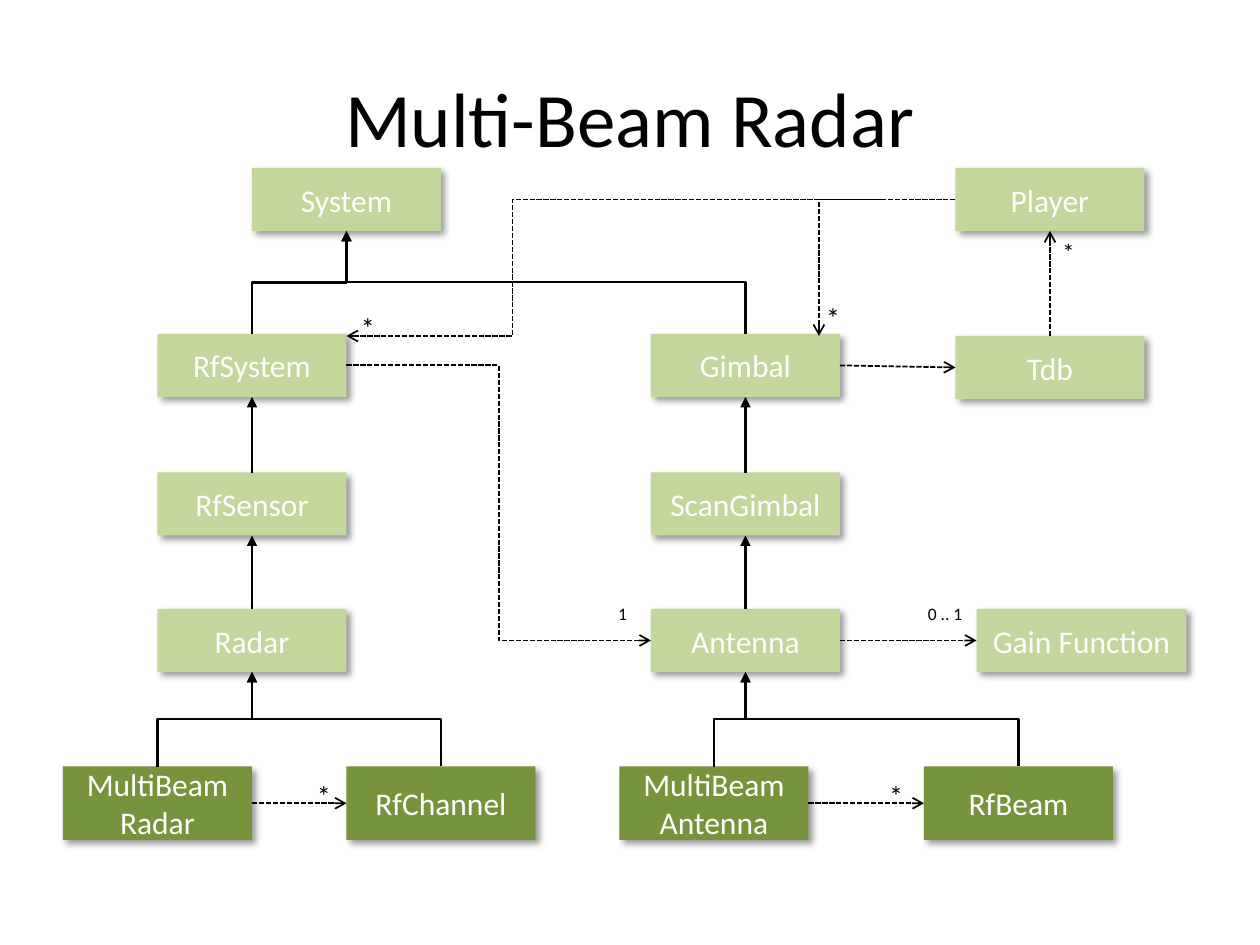
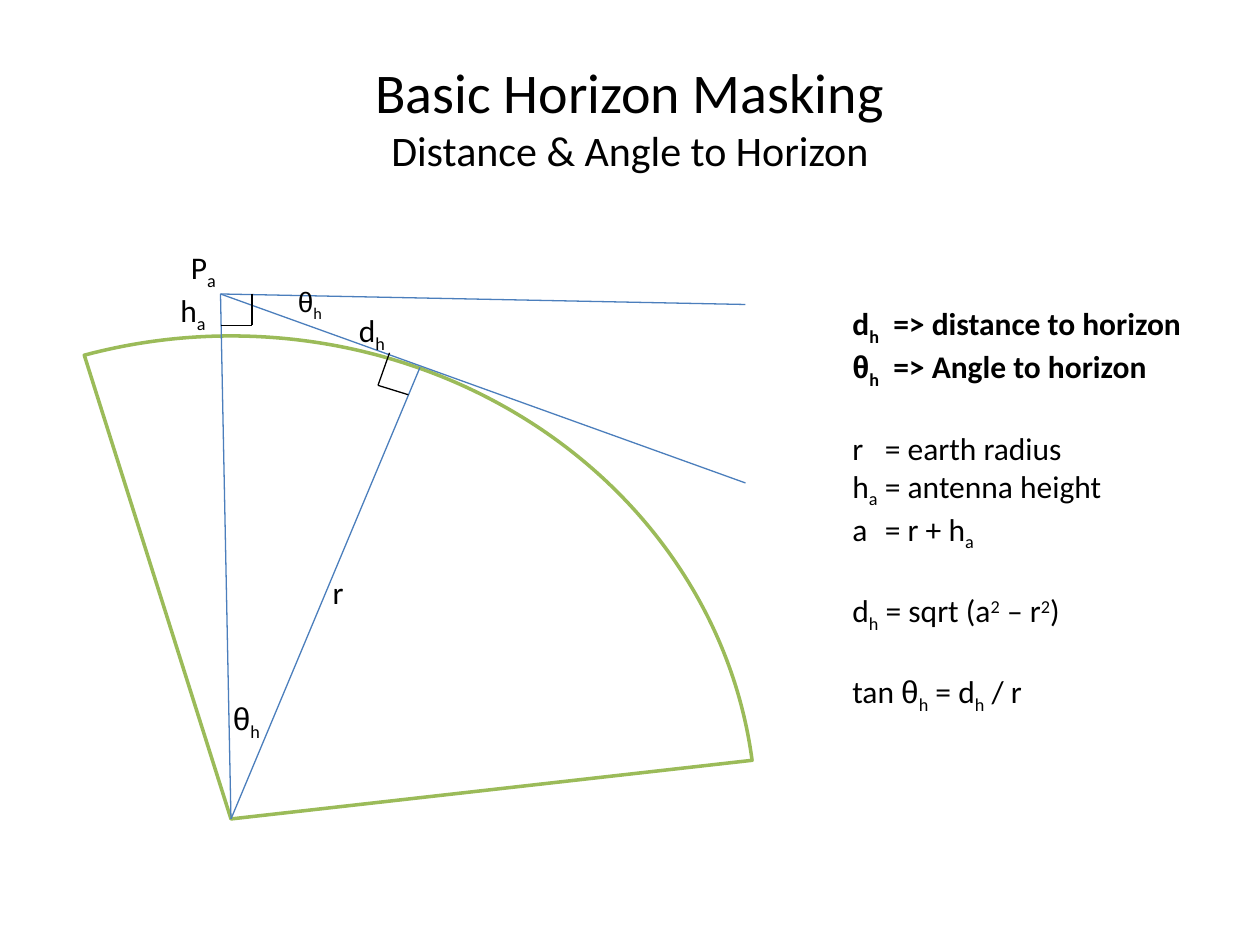
from dataclasses import dataclass
from itertools import pairwise

from lxml.etree import SubElement
from pptx import Presentation
from pptx.dml.color import RGBColor
from pptx.enum.dml import MSO_LINE
from pptx.enum.shapes import MSO_CONNECTOR as Route, MSO_SHAPE as Preset
from pptx.enum.text import MSO_ANCHOR as Anchor, MSO_AUTO_SIZE as AutoSize, PP_ALIGN as Align
from pptx.oxml.ns import qn
from pptx.util import Pt

PX = 7620  # EMU: 120 px to the inch

BLACK = RGBColor(0x00, 0x00, 0x00)
WHITE = RGBColor(0xFF, 0xFF, 0xFF)
PALE_GREEN = RGBColor(0xC3, 0xD6, 0x9B)
DARK_GREEN = RGBColor(0x77, 0x93, 0x3C)
EARTH_GREEN = RGBColor(0x9B, 0xBB, 0x59)
RAY_BLUE = RGBColor(0x4B, 0x7E, 0xBC)


@dataclass
class Box:
    x: int
    y: int
    w: int = 180
    h: int = 60

    @property
    def top(self):
        return self.x + self.w // 2, self.y

    @property
    def bottom(self):
        return self.x + self.w // 2, self.y + self.h

    @property
    def left(self):
        return self.x, self.y + self.h // 2

    @property
    def right(self):
        return self.x + self.w, self.y + self.h // 2


class Deck:
    """Holds the shared style and the slide being drawn."""

    font = "Calibri"
    greek_font = "Arial"

    def __init__(self):
        self.prs = Presentation()
        self.prs.slide_width, self.prs.slide_height = 1200 * PX, 900 * PX
        self.shapes = None

    def style(self, paragraph, size, color=BLACK, bold=None):
        font = paragraph.font
        font.name, font.size, font.bold = self.font, Pt(size), bold
        font.color.rgb = color

    def slide(self, title, size, subtitle=None, subtitle_size=24):
        self.shapes = self.prs.slides.add_slide(self.prs.slide_layouts[5]).shapes
        heading = self.shapes.title
        heading.left, heading.top, heading.width, heading.height = (
            v * PX for v in (60, 36, 1080, 150))
        heading.text_frame.vertical_anchor = Anchor.MIDDLE
        line = heading.text_frame.paragraphs[0]
        line.alignment = Align.CENTER
        self.style(line, size)
        line.add_run().text = title
        if subtitle:
            line.add_line_break()
            run = line.add_run()
            run.text, run.font.size = subtitle, Pt(subtitle_size)

    def preset(self, kind, x, y, w, h):
        shape = self.shapes.add_shape(kind, x * PX, y * PX, w * PX, h * PX)
        shape.shadow.inherit = False
        return shape

    def class_box(self, name, box, fill):
        shape = self.preset(Preset.RECTANGLE, box.x, box.y, box.w, box.h)
        shape.fill.solid()
        shape.fill.fore_color.rgb = fill
        shape.line.fill.background()
        effects = shape._element.spPr.find(qn("a:effectLst"))
        shadow = SubElement(effects, qn("a:outerShdw"), blurRad="50800", dist="38100",
                            dir="2700000", algn="tl", rotWithShape="0")
        tint = SubElement(shadow, qn("a:srgbClr"), val=str(BLACK))
        SubElement(tint, qn("a:alpha"), val="40000")
        frame = shape.text_frame
        frame.vertical_anchor = Anchor.MIDDLE
        frame.text = name
        for line in frame.paragraphs:
            line.alignment = Align.CENTER
            self.style(line, 18, WHITE)

    def line(self, start, end, color=BLACK, width=0.75, route=Route.STRAIGHT,
             head=None, dashed=False):
        link = self.shapes.add_connector(route, *(v * PX for v in (*start, *end)))
        link.line.color.rgb = color
        link.line.width = Pt(width)
        if dashed:
            link.line.dash_style = MSO_LINE.SQUARE_DOT
        if head:
            SubElement(link.line._get_or_add_ln(), qn("a:tailEnd"), type=head)
        SubElement(link._element.spPr, qn("a:effectLst"))
        return link

    def inherit(self, child, parent):
        """Solid arrow upwards; an elbow is laid flat, then turned by 270 degrees."""
        (x1, y1), (x2, y2) = child.top, parent.bottom
        arrow = dict(width=1.25, head="triangle")
        if x1 == x2:
            self.line(child.top, parent.bottom, **arrow)
            return
        mid_x, mid_y = (x1 + x2) // 2, (y1 + y2) // 2
        half_rise, half_run = (y1 - y2) // 2, (x2 - x1) // 2
        link = self.line((mid_x - half_rise, mid_y - half_run),
                         (mid_x + half_rise, mid_y + half_run),
                         route=Route.ELBOW, **arrow)
        link._element.spPr.find(qn("a:xfrm")).set("rot", str(270 * 60000))

    def associate(self, start, end, bend=None):
        """Dashed arrow; bend is the share of the run before the turn, 1 for one corner."""
        route = Route.STRAIGHT if bend is None else Route.ELBOW
        link = self.line(start, end, width=1, route=route, head="arrow", dashed=True)
        if bend is None:
            return
        geometry = link._element.spPr.find(qn("a:prstGeom"))
        if bend == 1:
            geometry.set("prst", "bentConnector2")
        else:
            guides = geometry.find(qn("a:avLst"))
            SubElement(guides, qn("a:gd"), name="adj1", fmla=f"val {round(bend * 100000)}")

    def rich_text(self, paragraph, text):
        """In text, _ lowers and ^ raises the next character."""
        pieces, mark = [], ""
        for char in text:
            if char in "_^":
                mark = char
                continue
            kind = mark or ("θ" if char == "θ" else "")
            if pieces and pieces[-1][0] == kind:
                pieces[-1][1] += char
            else:
                pieces.append([kind, char])
            mark = ""
        for kind, part in pieces:
            run = paragraph.add_run()
            run.text = part
            if kind == "θ":
                run.font.name = self.greek_font
            elif kind:
                baseline = "-25000" if kind == "_" else "30000"
                run._r.get_or_add_rPr().set("baseline", baseline)

    def text_box(self, x, y, w, h, wrap):
        frame = self.shapes.add_textbox(x * PX, y * PX, w * PX, h * PX).text_frame
        frame.word_wrap = wrap
        frame.auto_size = AutoSize.SHAPE_TO_FIT_TEXT
        return frame

    def label(self, text, x, y, w, size=18):
        frame = self.text_box(x, y, w, 12 + 2 * size, wrap=False)
        self.style(frame.paragraphs[0], size)
        self.rich_text(frame.paragraphs[0], text)

    def formulas(self, groups, x, y, w, h, size=18, gap=22):
        """Each group is (bold, tab stop, lines); a gap parts the groups."""
        frame = self.text_box(x, y, w, h, wrap=True)
        line = None
        for bold, tab, texts in groups:
            for i, text in enumerate(texts):
                first = line is None
                line = frame.paragraphs[0] if first else frame.add_paragraph()
                if i == 0 and not first:
                    line.space_before = Pt(gap)
                if tab:
                    tabs = SubElement(line._p.get_or_add_pPr(), qn("a:tabLst"))
                    SubElement(tabs, qn("a:tab"), pos=str(tab * PX), algn="l")
                self.style(line, size, bold=bold)
                self.rich_text(line, text)


def radar_slide(deck):
    deck.slide("Multi-Beam Radar", 44)

    # Classes
    system, player = Box(240, 160), Box(910, 160)
    rf_system, rf_sensor, radar = (Box(150, y) for y in (318, 450, 580))
    gimbal, scan_gimbal, antenna = (Box(620, y) for y in (318, 450, 580))
    tdb, gain = Box(910, 320), Box(930, 580, 200)
    mb_radar, rf_channel, mb_antenna, rf_beam = (
        Box(x, 730, h=70) for x in (60, 330, 590, 880))
    base_classes = {
        "System": system, "Player": player, "RfSystem": rf_system,
        "RfSensor": rf_sensor, "Radar": radar, "Gimbal": gimbal,
        "ScanGimbal": scan_gimbal, "Antenna": antenna, "Tdb": tdb,
        "Gain Function": gain,
    }
    multi_beam_classes = {
        "MultiBeam\nRadar": mb_radar, "RfChannel": rf_channel,
        "MultiBeam\nAntenna": mb_antenna, "RfBeam": rf_beam,
    }
    for fill, classes in ((PALE_GREEN, base_classes), (DARK_GREEN, multi_beam_classes)):
        for name, box in classes.items():
            deck.class_box(name, box, fill)

    # Inheritance
    for child, parent in (
            (rf_system, system), (gimbal, system), (rf_sensor, rf_system),
            (radar, rf_sensor), (scan_gimbal, gimbal), (antenna, scan_gimbal),
            (mb_radar, radar), (rf_channel, radar),
            (mb_antenna, antenna), (rf_beam, antenna)):
        deck.inherit(child, parent)

    # Associations
    for owner, part in ((gimbal, tdb), (antenna, gain),
                        (mb_radar, rf_channel), (mb_antenna, rf_beam)):
        deck.associate(owner.right, part.left)
    deck.associate(tdb.top, player.bottom)
    deck.associate(rf_system.right, antenna.left, bend=0.5)
    deck.associate(player.left, (780, 320), bend=1)
    deck.associate((840, 190), (330, 320), bend=0.69)

    # Multiplicities
    deck.label("1", 577, 568, 32, 10)
    deck.label("0 .. 1", 872, 568, 58, 10)
    deck.label("*", 1000, 220, 36, 14)
    for x, y in ((775, 280), (332, 290), (835, 736), (290, 736)):
        deck.label("*", x, y, 35, 16)


def horizon_slide(deck):
    deck.slide("Basic Horizon Masking", 32, "Distance & Angle to Horizon")

    # Earth sector
    earth = deck.preset(Preset.PIE, -280, 320, 1000, 920)
    earth.adjustments[0], earth.adjustments[1] = 151.47, 212.15
    earth.fill.background()
    earth.line.color.rgb = EARTH_GREEN
    earth.line.width = Pt(2)

    # Rays
    centre, aircraft, tangent = (220, 780), (210, 280), (400, 350)
    for start, end in ((centre, aircraft), (aircraft, (710, 460)),
                       (tangent, centre), (aircraft, (710, 290))):
        deck.line(start, end, RAY_BLUE)

    # Right angles
    for corner in (((240, 280), (240, 310), (210, 310)),
                   ((389, 376), (360, 367), (371, 336))):
        for start, end in pairwise(corner):
            deck.line(start, end)

    # Labels
    deck.label("P_a", 170, 230, 49)
    deck.label("h_a", 160, 271, 50)
    deck.label("d_h", 330, 290, 50)
    deck.label("r", 305, 540, 35)
    deck.label("θ_h", 210, 660, 50)
    deck.label("θ_h", 272, 265, 48, 16)

    # Formulas
    deck.formulas((
        (True, 39, ("d_h\t=> distance to horizon", "θ_h\t=> Angle to horizon")),
        (False, 31, ("r\t= earth radius", "h_a\t= antenna height", "a\t= r + h_a")),
        (False, None, ("d_h = sqrt (a^2 – r^2)",)),
        (False, None, ("tan θ_h = d_h / r",)),
    ), 800, 284, 360, 412)


def main():
    deck = Deck()
    radar_slide(deck)
    horizon_slide(deck)
    deck.prs.save("out.pptx")


if __name__ == "__main__":
    main()
